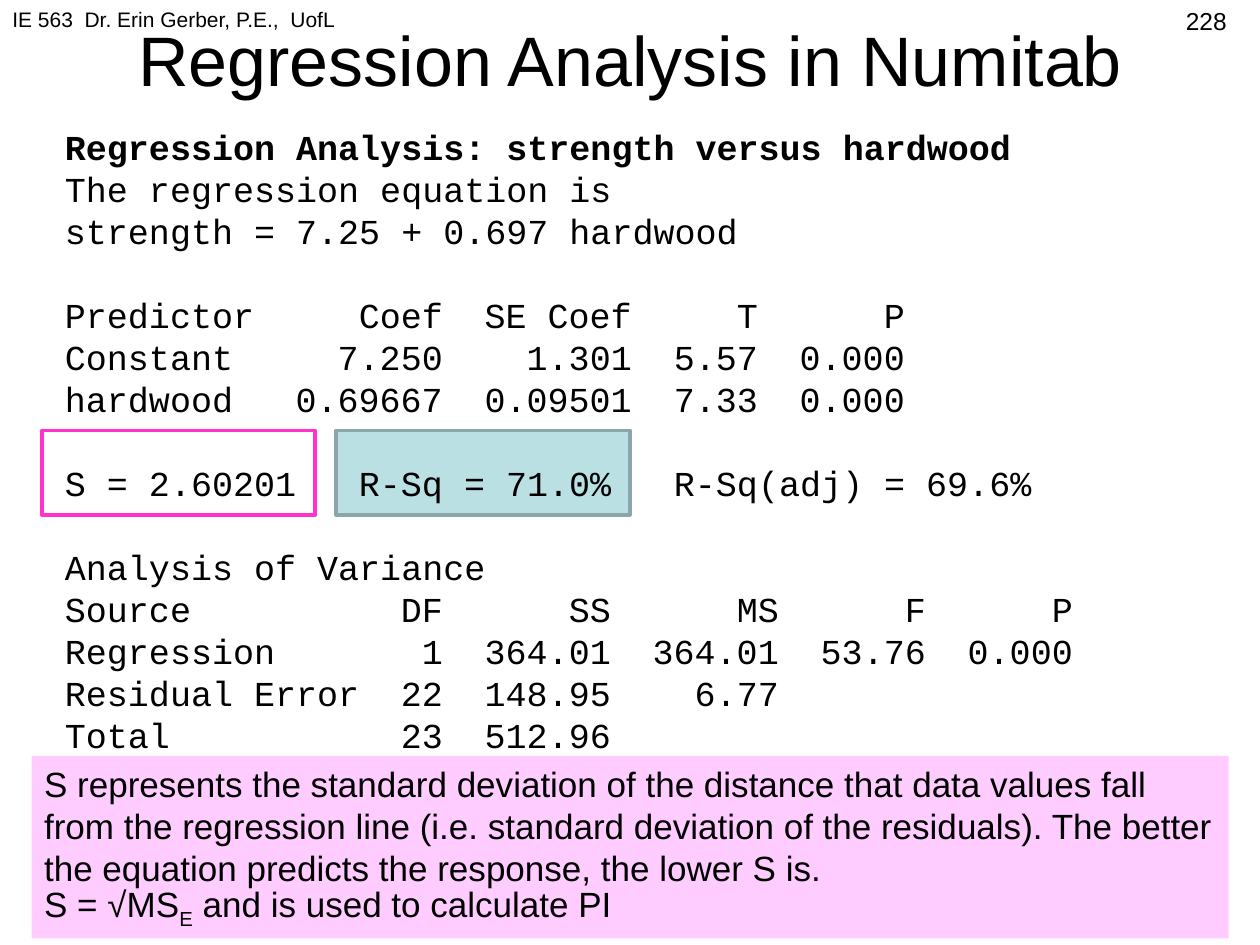
from lxml.etree import SubElement
from pptx import Presentation
from pptx.dml.color import RGBColor
from pptx.enum.shapes import MSO_SHAPE as Shape
from pptx.enum.text import MSO_ANCHOR as Anchor, PP_ALIGN as Align
from pptx.oxml.ns import qn
from pptx.util import Cm, Pt

COLORS = {
    "ink": "000000",
    "magenta": "FF33CC",
    "teal": "BBE0E3",
    "teal_edge": "8AA6A8",
    "pink": "FFCCFF",
}
PITCH = Pt(24)
CHAR_WIDTH = Pt(12)

COEF_TABS = [(18, "r"), (27, "r"), (33, "r"), (40, "r")]
FIT_TABS = [(14, "l"), (29, "l")]
ANOVA_TABS = [(18, "r"), (26, "r"), (34, "r"), (41, "r"), (48, "r")]

REPORT = [
    ([], [
        ["Regression Analysis: strength versus hardwood"],
        ["The regression equation is"],
        ["strength = 7.25 + 0.697 hardwood"],
    ]),
    (COEF_TABS, [
        ["Predictor", "Coef", "SE Coef", "T", "P"],
        ["Constant", "7.250", "1.301", "5.57", "0.000"],
        ["hardwood", "0.69667", "0.09501", "7.33", "0.000"],
    ]),
    (FIT_TABS, [
        ["S = 2.60201", "R-Sq = 71.0%", "R-Sq(adj) = 69.6%"],
    ]),
    (ANOVA_TABS, [
        ["Analysis of Variance"],
        ["Source", "DF", "SS", "MS", "F", "P"],
        ["Regression", "1", "364.01", "364.01", "53.76", "0.000"],
        ["Residual Error", "22", "148.95", "6.77"],
        ["Total", "23", "512.96"],
    ]),
]

NOTE = [
    ["S represents the standard deviation of the distance that data values fall "
     "from the regression line (i.e. standard deviation of the residuals). "
     "The better the equation predicts the response, the lower S is."],
    ["S = √MS", "E", " and is used to calculate PI"],
]


class Sheet:
    """Holds the text style and the page being drawn."""

    def __init__(self, page):
        self.page = page

    def color(self, name):
        return RGBColor.from_string(COLORS[name])

    def style(self, para, size, face="Arial", bold=False, align=Align.LEFT):
        para.alignment = align
        para.font.name = face
        para.font.size = Pt(size)
        para.font.bold = bold
        para.font.color.rgb = self.color("ink")

    def panel(self, left, top, width, height, fill=None, line=None, weight=0):
        box = self.page.shapes.add_shape(
            Shape.RECTANGLE, Cm(left), Cm(top), Cm(width), Cm(height))
        box.shadow.inherit = False
        if fill:
            box.fill.solid()
            box.fill.fore_color.rgb = self.color(fill)
        else:
            box.fill.background()
        if line:
            box.line.color.rgb = self.color(line)
            box.line.width = Pt(weight)
        else:
            box.line.fill.background()
        return box

    def frame(self, left, top, width, height, anchor=Anchor.TOP):
        box = self.page.shapes.add_textbox(Cm(left), Cm(top), Cm(width), Cm(height))
        box.text_frame.word_wrap = True
        box.text_frame.vertical_anchor = anchor
        return box.text_frame

    def label(self, text, place, size, align=Align.LEFT, anchor=Anchor.TOP):
        para = self.frame(*place, anchor).paragraphs[0]
        para.text = text
        self.style(para, size, align=align)

    def tabs(self, para, stops):
        tab_list = SubElement(para._p.get_or_add_pPr(), qn("a:tabLst"))
        for column, side in stops:
            SubElement(tab_list, qn("a:tab"), pos=str(column * CHAR_WIDTH), algn=side)

    def report(self, sections, place):
        frame = self.frame(*place)
        frame.margin_top = Cm(0.2)
        para = None
        for stops, rows in sections:
            for index, cells in enumerate(rows):
                first = para is None
                para = frame.paragraphs[0] if first else frame.add_paragraph()
                para.text = "\t".join(cells)
                if len(cells) > 1:
                    self.tabs(para, stops)
                para.line_spacing = PITCH
                if index == 0 and not first:
                    para.space_before = PITCH
                self.style(para, 20, "Courier New", bold=first)

    def note(self, lines, place, fill):
        frame = self.panel(*place, fill=fill).text_frame
        frame.word_wrap = True
        frame.vertical_anchor = Anchor.TOP
        for index, parts in enumerate(lines):
            para = frame.add_paragraph() if index else frame.paragraphs[0]
            para.line_spacing = PITCH
            self.style(para, 20)
            for position, text in enumerate(parts):
                span = para.add_run()
                span.text = text
                if position == 1:
                    span.font._element.set("baseline", "-25000")


def main():
    deck = Presentation()
    deck.slide_width, deck.slide_height = Cm(25.4), Cm(19.05)
    sheet = Sheet(deck.slides.add_slide(deck.slide_layouts[6]))

    sheet.panel(0.85, 8.68, 5.5, 1.7, line="magenta", weight=2.25)
    sheet.panel(6.77, 8.68, 5.93, 1.7, fill="teal", line="teal_edge", weight=2)
    sheet.label("IE 563  Dr. Erin Gerber, P.E.,  UofL", (0, 0, 10.58, 1.32), 12)
    sheet.label("228", (19.05, 0, 5.93, 1.32), 14, Align.RIGHT)
    sheet.label("Regression Analysis in Numitab", (1.27, -0.42, 22.86, 3.18), 40,
                Align.CENTER, Anchor.MIDDLE)
    sheet.note(NOTE, (0.64, 15.24, 24.13, 3.68), "pink")
    sheet.report(REPORT, (1.06, 2.33, 22.86, 14.82))
    deck.save("out.pptx")


if __name__ == "__main__":
    main()
